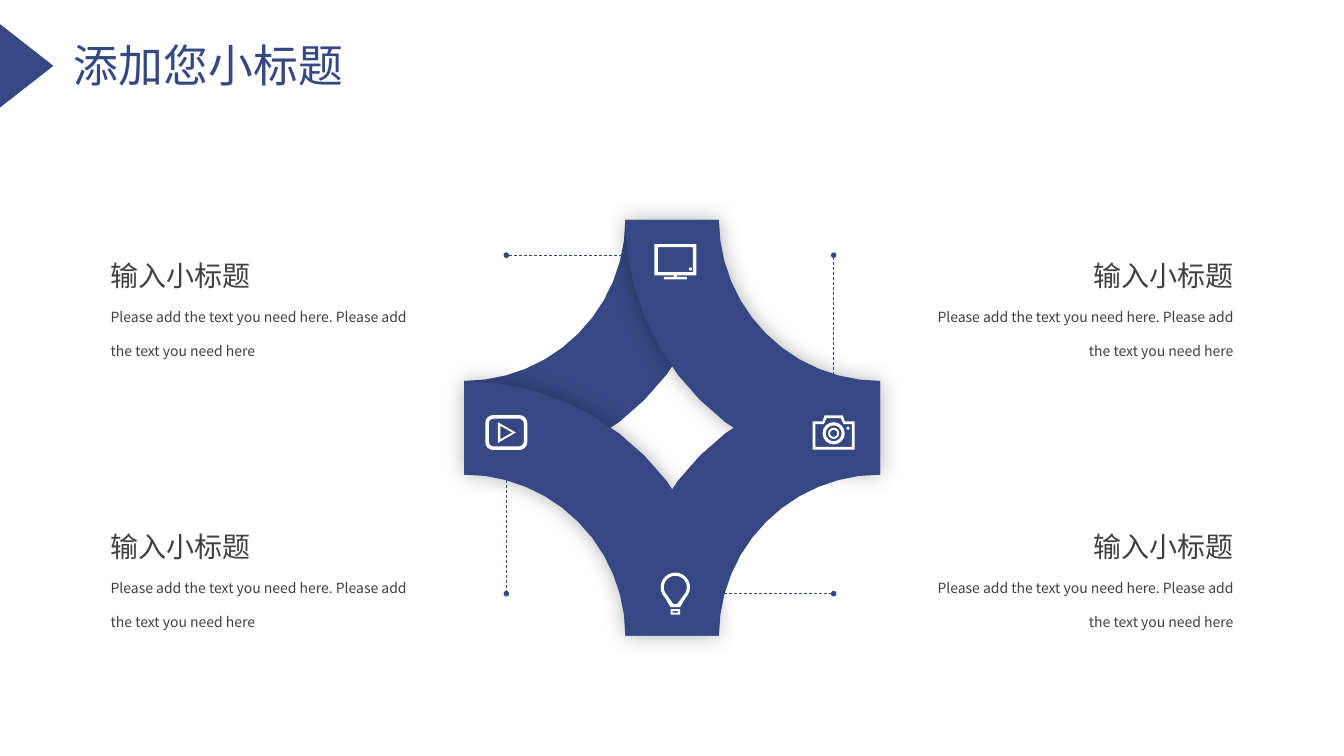
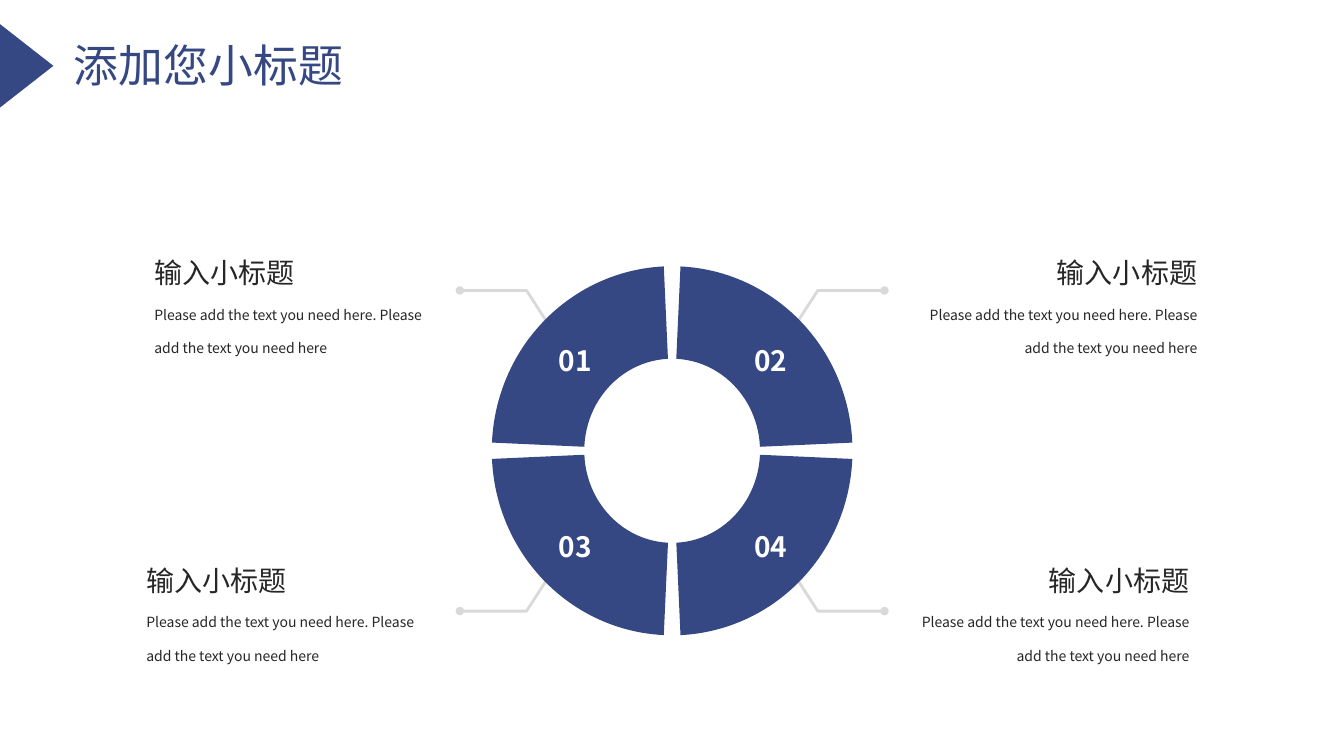
from itertools import product
from math import cos, radians, sin

from lxml import etree
from pptx import Presentation
from pptx.dml.color import RGBColor
from pptx.enum.dml import MSO_LINE
from pptx.enum.shapes import MSO_CONNECTOR, MSO_SHAPE
from pptx.enum.text import MSO_ANCHOR, MSO_AUTO_SIZE, PP_ALIGN
from pptx.oxml.ns import qn
from pptx.util import Cm, Pt

LEFT, CENTER, RIGHT = PP_ALIGN.LEFT, PP_ALIGN.CENTER, PP_ALIGN.RIGHT
TOP, NO_FIT = MSO_ANCHOR.TOP, MSO_AUTO_SIZE.NONE
BLOCK_ARC, TRIANGLE = MSO_SHAPE.BLOCK_ARC, MSO_SHAPE.ISOSCELES_TRIANGLE
STRAIGHT, DASH = MSO_CONNECTOR.STRAIGHT, MSO_LINE.DASH

FONT = "Noto Sans CJK SC"
NAVY, WHITE, STEM_GREY = "354883", "FFFFFF", "D9D9D9"
DARK_GREY, NEAR_BLACK = "404040", "262626"
TITLE_ONLY = 5
CENTER_X = 16.94

TITLE = "添加您小标题"
HEADING = "输入小标题"
BODY = "Please add the text you need here. Please add the text you need here"


def rgb(value):
    return RGBColor.from_string(value)


def arc(cx, cy, radius, start, end, steps=12):
    """Points on a circle; degrees run clockwise from the right."""
    angles = [radians(start + (end - start) * i / steps) for i in range(steps + 1)]
    return [(cx + radius * cos(a), cy + radius * sin(a)) for a in angles]


def circle(cx, cy, radius, steps=16):
    return arc(cx, cy, radius, 0, 360, steps)[:-1]


def box(half_width, top, bottom):
    return [(-half_width, top), (half_width, top),
            (half_width, bottom), (-half_width, bottom)]


def rounded_box(half_width, half_height, radius):
    x, y = half_width - radius, half_height - radius
    corners = [(x, y), (-x, y), (-x, -y), (x, -y)]
    return [point for i, (cx, cy) in enumerate(corners)
            for point in arc(cx, cy, radius, 90 * i, 90 * i + 90, 4)]


def mirrored(right_half):
    """Closed outline from its right half, listed from top to bottom."""
    return right_half + [(-x, y) for x, y in reversed(right_half)]


# Each icon is a list of outlines around its centre; inner ones cut holes.
MONITOR = [box(0.53, -0.44, 0.35), box(0.44, -0.36, 0.27), box(0.04, 0.35, 0.39),
           box(0.29, 0.39, 0.45), circle(0.38, 0.19, 0.04, 8)]
CAMERA = [mirrored([(0.23, -0.43), (0.28, -0.28), (0.53, -0.28), (0.53, 0.43)]),
          mirrored([(0.18, -0.36), (0.25, -0.21), (0.46, -0.21), (0.46, 0.36)]),
          *[circle(0, 0.02, radius) for radius in (0.28, 0.2, 0.14, 0.09)],
          circle(0.36, -0.11, 0.04, 8)]
VIDEO = [rounded_box(0.53, 0.44, 0.2), rounded_box(0.44, 0.35, 0.12),
         [(-0.21, -0.26), (0.24, 0), (-0.21, 0.26)],
         [(-0.15, -0.17), (0.15, 0), (-0.15, 0.17)]]
BULB = [arc(0, -0.16, 0.37, 135, 405, 18) + [(0.12, 0.34), (-0.12, 0.34)],
        arc(0, -0.16, 0.29, 135, 405, 18) + [(0.05, 0.26), (-0.05, 0.26)],
        box(0.12, 0.39, 0.53), box(0.07, 0.44, 0.48)]


def write(paragraph, text, size, color, bold=False, align=LEFT, spacing=None):
    paragraph.alignment = align
    paragraph.line_spacing = spacing
    run = paragraph.add_run()
    run.text = text
    font = run.font
    font.size, font.bold, font.name = Pt(size), bold, FONT
    font.color.rgb = rgb(color)
    etree.SubElement(run._r.get_or_add_rPr(), qn("a:ea"), typeface=FONT)


def end_with_dot(shape, size="med"):
    etree.SubElement(shape.line._get_or_add_ln(), qn("a:tailEnd"),
                     type="oval", w=size, len=size)


def add_glow_shadow(shape, blur=15, opacity=30):
    effects = shape._element.spPr.find(qn("a:effectLst"))
    shadow = etree.SubElement(effects, qn("a:outerShdw"), blurRad=str(Pt(blur)),
                              dist="0", dir="0", algn="ctr", rotWithShape="0")
    black = etree.SubElement(shadow, qn("a:srgbClr"), val="000000")
    etree.SubElement(black, qn("a:alpha"), val=str(opacity * 1000))


class Deck:
    """Shared style plus the slide being drawn; lengths are centimetres."""

    def __init__(self):
        self.presentation = Presentation()
        self.presentation.slide_width = Cm(33.87)
        self.presentation.slide_height = Cm(19.05)
        self.slide = None

    def new_slide(self, title):
        layout = self.presentation.slide_layouts[TITLE_ONLY]
        self.slide = self.presentation.slides.add_slide(layout)
        heading = self.slide.shapes.title
        heading.left, heading.top = Cm(1.61), Cm(0.82)
        heading.width, heading.height = Cm(8.61), Cm(1.63)
        frame = heading.text_frame
        frame.auto_size, frame.vertical_anchor = NO_FIT, TOP
        write(frame.paragraphs[0], title, 32, NAVY)
        marker = self.preset(TRIANGLE, 0.67, 1.66, 2.11, 1.35, NAVY)
        marker.rotation = 90

    def paint(self, shape, fill=None, line=None, weight=2):
        shape.shadow.inherit = False
        if fill:
            shape.fill.solid()
            shape.fill.fore_color.rgb = rgb(fill)
        else:
            shape.fill.background()
        if line:
            shape.line.color.rgb = rgb(line)
            shape.line.width = Pt(weight)
        else:
            shape.line.fill.background()
        return shape

    def preset(self, kind, cx, cy, width, height, fill):
        """Preset shape placed by its centre."""
        shape = self.slide.shapes.add_shape(
            kind, Cm(cx - width / 2), Cm(cy - height / 2), Cm(width), Cm(height))
        return self.paint(shape, fill)

    def outline(self, contours, cx=0, cy=0, close=True, **paint):
        """One freeform made of contours, moved to (cx, cy)."""
        builder = None
        for contour in contours:
            start, *rest = [(Cm(cx + x), Cm(cy + y)) for x, y in contour]
            if builder is None:
                builder = self.slide.shapes.build_freeform(*start)
            else:
                builder.move_to(*start)
            builder.add_line_segments(rest, close=close)
        return self.paint(builder.convert_to_shape(), **paint)

    def ring_segment(self, cx, cy, width, height, thickness, start, end):
        segment = self.preset(BLOCK_ARC, cx, cy, width, height, NAVY)
        # Angles are stored in 60000ths of a degree, scaled by 100000.
        segment.adjustments[0] = start * 0.6
        segment.adjustments[1] = end * 0.6
        segment.adjustments[2] = thickness / min(width, height)

    def dashed_leader(self, x1, y1, x2, y2):
        leader = self.slide.shapes.add_connector(
            STRAIGHT, Cm(x1), Cm(y1), Cm(x2), Cm(y2))
        leader.line.color.rgb = rgb(NAVY)
        leader.line.width, leader.line.dash_style = Pt(0.5), DASH
        end_with_dot(leader, "sm")
        etree.SubElement(leader._element.spPr, qn("a:effectLst"))

    def text_area(self, x, y, width, height, wrap=True):
        area = self.slide.shapes.add_textbox(Cm(x), Cm(y), Cm(width), Cm(height))
        area.text_frame.word_wrap = wrap
        return area.text_frame

    def caption(self, x, y, width, color, align):
        frame = self.text_area(x, y, width, 3.68)
        write(frame.paragraphs[0], HEADING, 20, color, align=align, spacing=2.0)
        write(frame.add_paragraph(), BODY, 10, color, align=align, spacing=2.0)

    def number(self, text, cx, cy):
        frame = self.text_area(cx - 0.7, cy - 0.56, 1.4, 1.12, wrap=False)
        write(frame.paragraphs[0], text, 20, WHITE, bold=True, align=CENTER)


def draw_woven_star(deck):
    deck.new_slide(TITLE)
    center_y, reach, half_arm = 10.78, 5.24, 1.18
    petals = [(-1, -1, 0, False), (-1, 1, 270, True),
              (1, -1, 90, True), (1, 1, 180, False)]
    for side, level, start, has_shadow in petals:
        corner = CENTER_X + side * reach, center_y + level * reach
        edges = (arc(*corner, reach + half_arm, start, start + 90)
                 + arc(*corner, reach - half_arm, start + 90, start))
        petal = deck.outline([edges], fill=NAVY)
        if has_shadow:
            add_glow_shadow(petal)

    for icon, x, y in [(CAMERA, 21.01, 10.9), (VIDEO, 12.76, 10.9),
                       (MONITOR, 17.02, 6.59), (BULB, 17.02, 14.96)]:
        deck.outline(icon, x, y, fill=WHITE)

    left, right, top, bottom = 12.76, 21.01, 6.43, 14.96
    for leader in [(15.67, top, left, top), (left, 12.09, left, bottom),
                   (18.24, bottom, right, bottom), (right, 9.45, right, top)]:
        deck.dashed_leader(*leader)
    for (x, align), y in product([(2.54, LEFT), (23.35, RIGHT)], [5.53, 12.37]):
        deck.caption(x, y, 7.98, DARK_GREY, align)


def draw_numbered_ring(deck):
    deck.new_slide(TITLE)
    center_y, gap = 11.36, 2.6
    stem = [(2.83, 2.74), (3.67, 4.04), (5.35, 4.04)]
    for side, level in product([-1, 1], repeat=2):
        callout = deck.outline([[(side * x, level * y) for x, y in stem]],
                               CENTER_X, center_y, close=False, line=STEM_GREY)
        end_with_dot(callout)
    for start in (270, 0, 90, 180):
        deck.ring_segment(CENTER_X, center_y, 9.09, 9.3, 2.33,
                          start + gap, start + 90 - gap)

    quarters = product([9.09, 13.77], [14.5, 19.42])
    for index, (y, x) in enumerate(quarters, start=1):
        deck.number(f"{index:02}", x, y)
    for x, y, align in [(3.64, 5.47, LEFT), (22.75, 5.47, RIGHT),
                        (3.44, 13.22, LEFT), (22.55, 13.22, RIGHT)]:
        deck.caption(x, y, 7.67, NEAR_BLACK, align)


def main():
    deck = Deck()
    draw_woven_star(deck)
    draw_numbered_ring(deck)
    deck.presentation.save("out.pptx")


if __name__ == "__main__":
    main()
